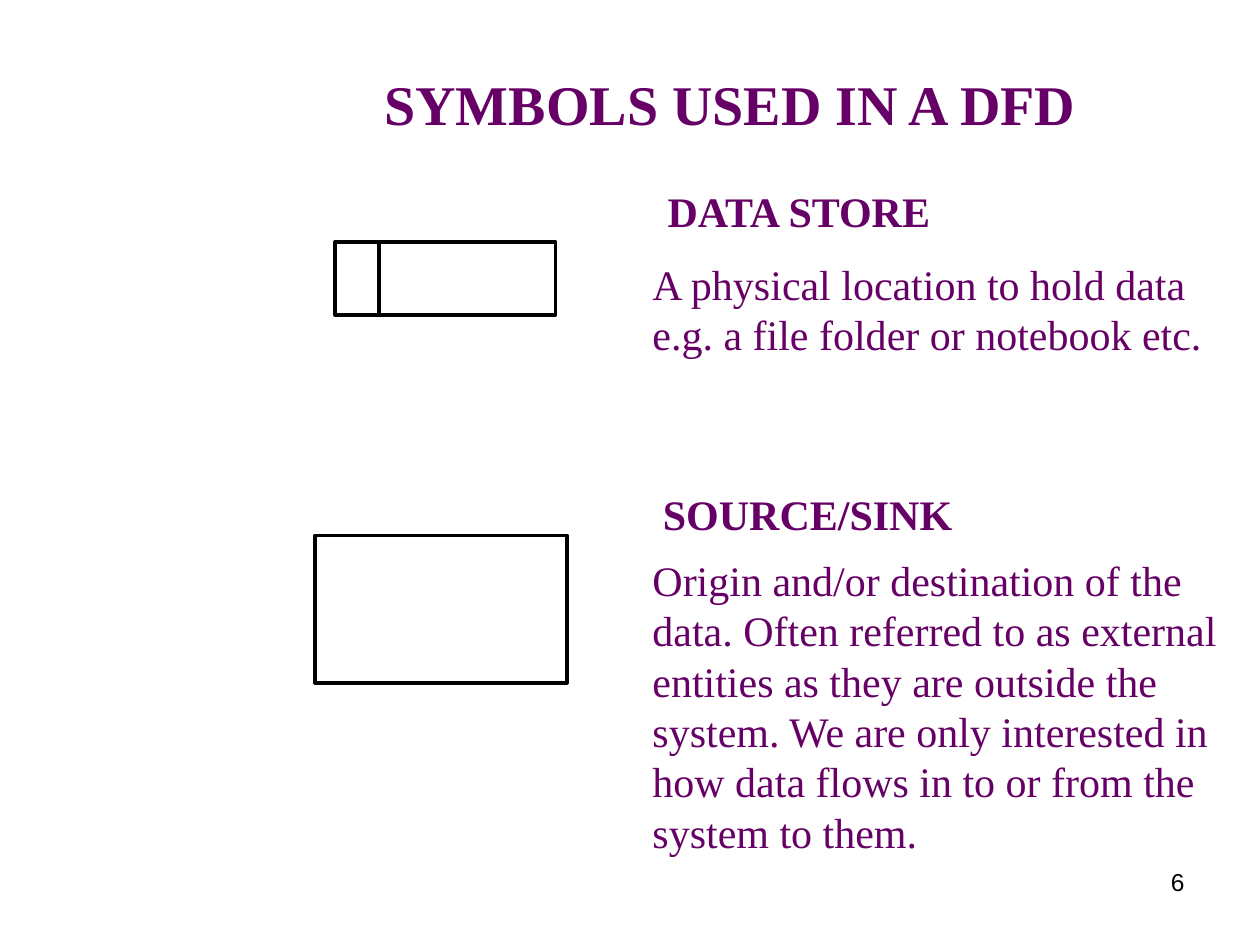
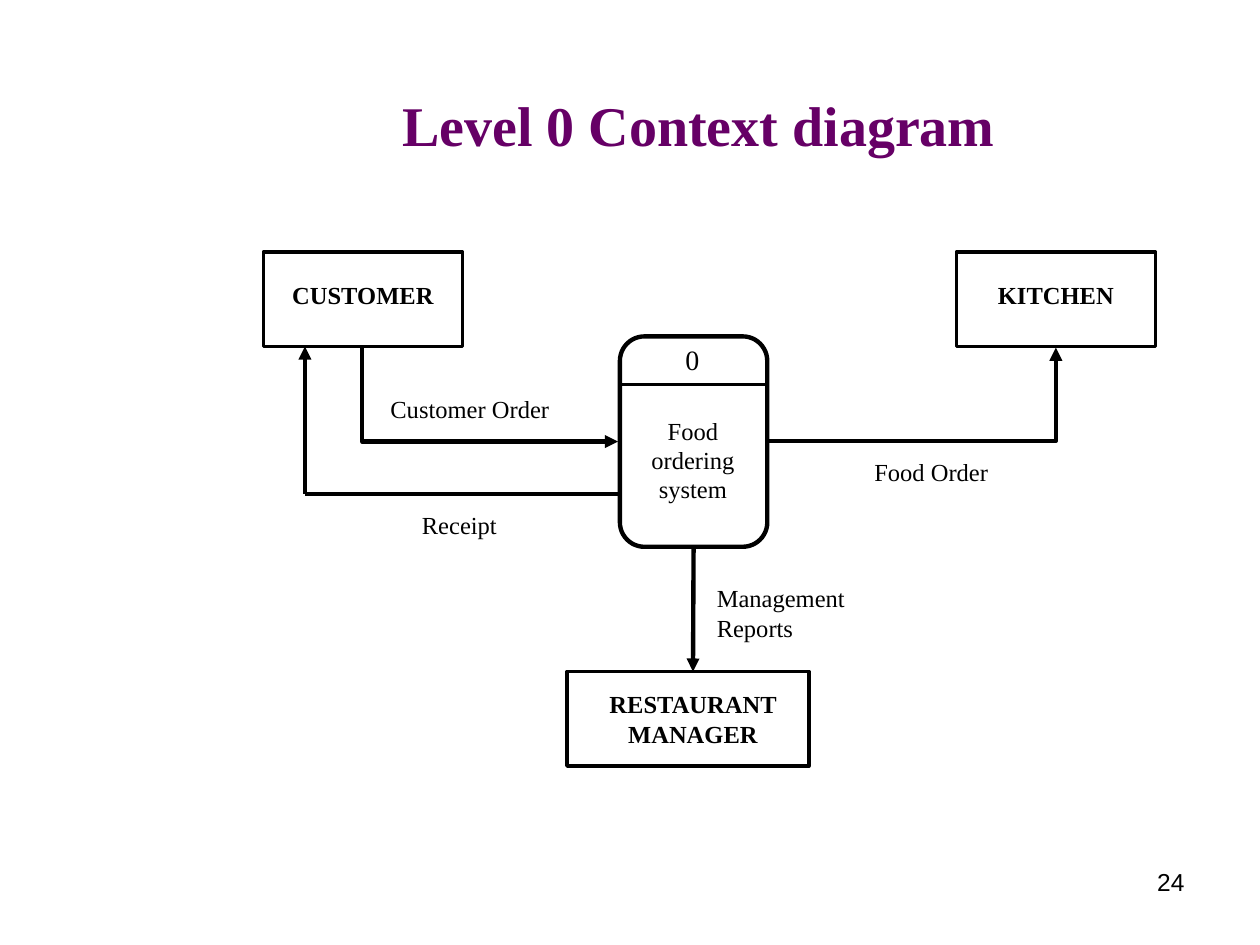
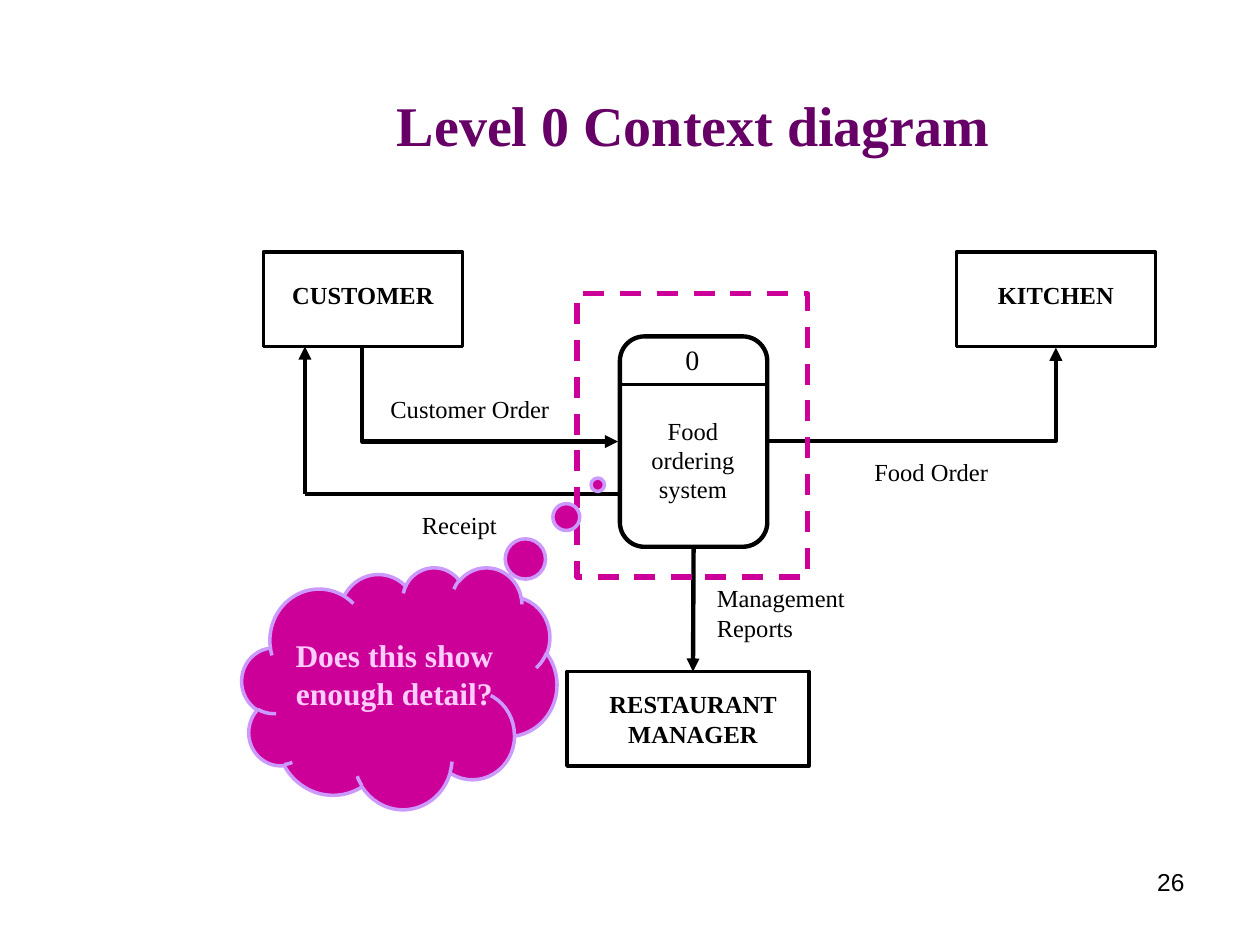
from lxml import etree
from pptx import Presentation
from pptx.dml.color import RGBColor
from pptx.enum.dml import MSO_LINE
from pptx.enum.shapes import MSO_CONNECTOR, MSO_SHAPE
from pptx.enum.text import MSO_AUTO_SIZE, PP_ALIGN
from pptx.oxml.ns import qn
from pptx.util import Inches, Pt

RECT, STORE = MSO_SHAPE.RECTANGLE, MSO_SHAPE.FLOWCHART_PROCESS
ROUND, CLOUD = MSO_SHAPE.FLOWCHART_ALTERNATE_PROCESS, MSO_SHAPE.CLOUD_CALLOUT
LINE, BENT = MSO_CONNECTOR.STRAIGHT, MSO_CONNECTOR.ELBOW
LEFT, MID, RIGHT = PP_ALIGN.LEFT, PP_ALIGN.CENTER, PP_ALIGN.RIGHT
GROW, FIXED = MSO_AUTO_SIZE.SHAPE_TO_FIT_TEXT, MSO_AUTO_SIZE.NONE
DASH = MSO_LINE.DASH

HUES = {"ink": "000000", "paper": "FFFFFF", "plum": "660066",
        "pink": "CC0099", "lilac": "CC99FF", "blush": "FFCCFF"}
HUES = {name: RGBColor.from_string(code) for name, code in HUES.items()}

# Text styles: font values, colour, alignment, space before, sizing
SERIF = "Times New Roman"
STYLES = {
    "title": ({"name": SERIF, "size": Pt(32), "bold": True}, "plum", MID, 20, GROW),
    "head": ({"name": SERIF, "size": Pt(24), "bold": True}, "plum", LEFT, 15, GROW),
    "body": ({"name": SERIF, "size": Pt(24), "bold": False}, "plum", LEFT, 15, GROW),
    "node": ({"name": SERIF, "size": Pt(14), "bold": True}, "ink", MID, 8.8, GROW),
    "task": ({"name": SERIF, "size": Pt(14), "bold": False}, "ink", MID, 8.8, GROW),
    "flow": ({"name": SERIF, "size": Pt(14), "bold": False}, "ink", LEFT, 8.8, GROW),
    "digit": ({"name": SERIF, "size": Pt(16), "bold": False}, "ink", LEFT, 10, GROW),
    "cloud": ({"name": SERIF, "size": Pt(18), "bold": True}, "blush", MID, 11.2, GROW),
    "page": ({"name": "Arial", "size": Pt(14), "bold": False}, "ink", RIGHT, 0, FIXED),
}

# Shapes: kind, box, line width
# Wires: kind, start, end, line width, arrow, turn, shape whose bottom it leaves
# Texts: style, box, words
SYMBOLS = {
    "shapes": [(STORE, (2.66, 1.92, 1.75, 0.58), 2),
               (RECT, (2.5, 4.25, 2, 1.17), 2)],
    "wires": [(LINE, (3.01, 1.92), (3.01, 2.5), 2, False, 0, None)],
    "texts": [
        ("head", (5.2, 1.42, 2.8, 0.5), "DATA STORE"),
        ("body", (5.08, 2, 4.92, 0.9),
         "A physical location to hold data e.g. a file folder or notebook etc."),
        ("head", (5.08, 3.83, 3.34, 0.5), " SOURCE/SINK"),
        ("body", (5.08, 4.35, 4.83, 2.5),
         "Origin and/or destination of the data. Often referred to as external "
         "entities as they are outside the system. We are only interested in "
         "how data flows in to or from the system to them."),
    ],
}
CONTEXT = {
    "shapes": [(ROUND, (4.92, 2.67, 1.17, 1.67), 2.5),
               (RECT, (2.09, 2, 1.58, 0.75), 2),
               (RECT, (7.59, 2, 1.58, 0.75), 2),
               (RECT, (4.5, 5.33, 1.92, 0.75), 2)],
    "wires": [(LINE, (4.92, 3.05), (6.09, 3.05), 2, False, 0, None),
              (BENT, (4.26, 2.12), (3.52, 4.15), 2.5, True, 270, None),
              (LINE, (5.5, 4.34), (5.5, 5.33), 2.5, True, 0, 0),
              (BENT, (6.1, 3.5), (8.38, 2.76), 2.5, True, 0, None),
              (LINE, (4.92, 3.92), (2.42, 3.92), 2.5, False, 0, None),
              (LINE, (2.42, 3.92), (2.42, 2.75), 2.5, True, 0, None)],
    "texts": [
        ("task", (5, 3.25, 1, 0.8), "Food ordering system"),
        ("digit", (5.34, 2.67, 0.42, 0.37), "0"),
        ("node", (2.17, 2.17, 1.42, 0.34), "CUSTOMER"),
        ("node", (7.67, 2.17, 1.42, 0.34), "KITCHEN"),
        ("node", (4.67, 5.42, 1.66, 0.57), "RESTAURANT MANAGER"),
        ("flow", (6.84, 3.58, 1.25, 0.34), "Food Order"),
        ("flow", (5.59, 4.58, 1.25, 0.57), "Management Reports"),
        ("flow", (3, 3.08, 1.58, 0.34), "Customer Order"),
        ("flow", (3.25, 4, 0.92, 0.34), "Receipt"),
    ],
}
PAGES = [
    (SYMBOLS, "SYMBOLS USED IN A DFD", (2.67, 0.5, 6.25, 0.64), "6"),
    (CONTEXT, "Level 0 Context diagram", (2.92, 0.67, 5.25, 0.64), "24"),
    (CONTEXT, "Level 0 Context diagram", (2.92, 0.67, 5.17, 0.64), "26"),
]


def draw(slide, kind, box, width, fill="paper", edge="ink"):
    """Add a preset shape; a fill of None leaves it clear."""
    shape = slide.shapes.add_shape(kind, *map(Inches, box))
    shape.shadow.inherit = False
    if fill:
        shape.fill.solid()
        shape.fill.fore_color.rgb = HUES[fill]
    else:
        shape.fill.background()
    shape.line.color.rgb = HUES[edge]
    shape.line.width = Pt(width)
    return shape


def write(slide, style, box, words):
    """Add a text box in one of the named styles."""
    values, hue, align, before, fit = STYLES[style]
    frame = slide.shapes.add_textbox(*map(Inches, box)).text_frame
    frame.word_wrap = True
    frame.auto_size = fit
    para = frame.paragraphs[0]
    para.alignment = align
    para.space_before = Pt(before)
    run = para.add_run()
    run.text = words
    for key, value in values.items():
        setattr(run.font, key, value)
    run.font.color.rgb = HUES[hue]


deck = Presentation()
deck.slide_width, deck.slide_height = Inches(10), Inches(7.5)

for parts, title, place, number in PAGES:
    slide = deck.slides.add_slide(deck.slide_layouts[6])
    nodes = [draw(slide, *row) for row in parts["shapes"]]

    for kind, start, end, width, arrow, turn, node in parts["wires"]:
        wire = slide.shapes.add_connector(kind, *map(Inches, start + end))
        wire.line.color.rgb = HUES["ink"]
        wire.line.width = Pt(width)
        wire.rotation = turn
        props = wire._element.spPr
        if kind == BENT:
            props.find(qn("a:prstGeom")).set("prst", "bentConnector2")
        if arrow:
            etree.SubElement(props.find(qn("a:ln")), qn("a:tailEnd"), type="triangle")
        etree.SubElement(props, qn("a:effectLst"))
        if node is not None:
            wire.begin_connect(nodes[node], 2)

    for row in parts["texts"]:
        write(slide, *row)
    write(slide, "title", place, title)
    write(slide, "page", (7.17, 6.83, 2.33, 0.52), number)

# The last slide asks about the process
frame = draw(slide, RECT, (4.58, 2.33, 1.83, 2.25), 3, None, "pink")
frame.line.dash_style = DASH
cloud = draw(slide, CLOUD, (1.92, 4.5, 2.5, 1.92), 2, "pink", "lilac")
cloud.adjustments[0], cloud.adjustments[1] = 0.63, -0.84
write(slide, "cloud", (2.17, 5, 1.92, 0.7), "Does this show enough detail?")

deck.save("out.pptx")
